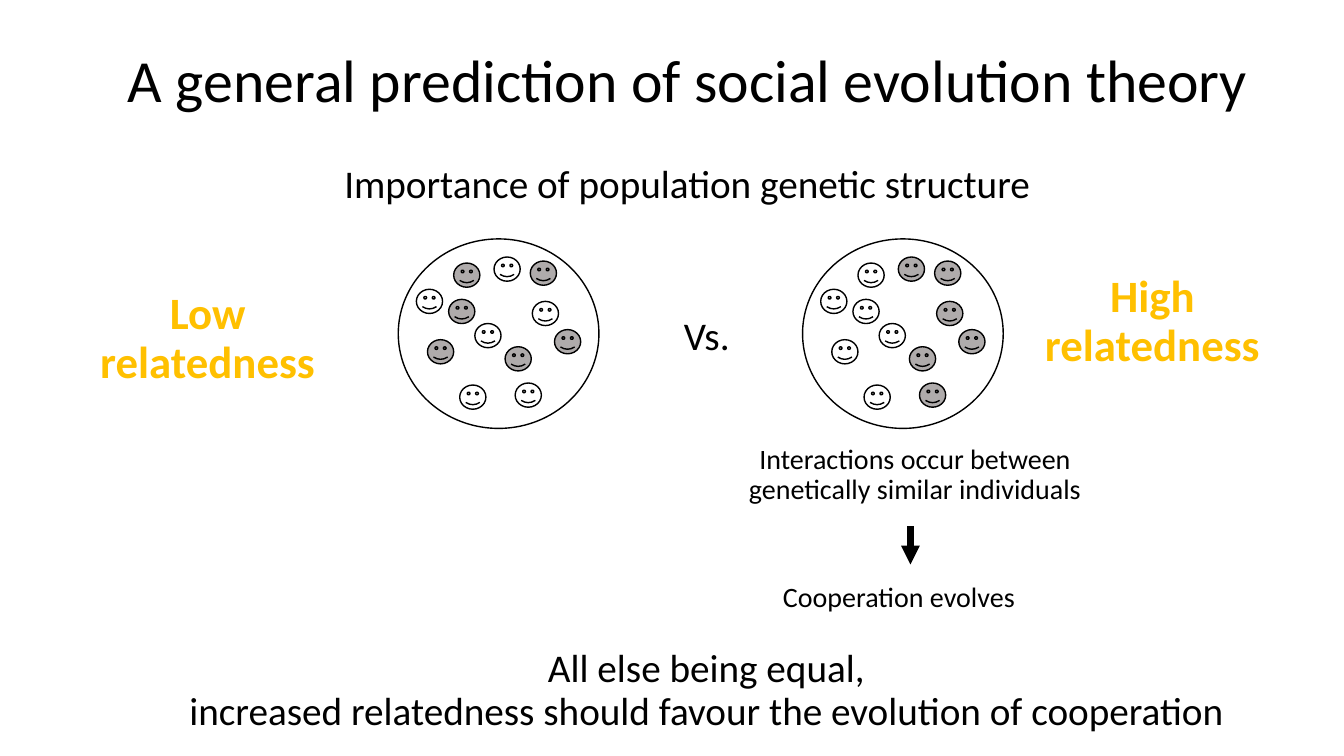
from lxml import etree
from pptx import Presentation
from pptx.dml.color import RGBColor
from pptx.enum.shapes import MSO_CONNECTOR, MSO_SHAPE as Shape
from pptx.enum.text import MSO_ANCHOR, MSO_AUTO_SIZE, PP_ALIGN
from pptx.oxml.ns import qn
from pptx.util import Inches, Pt

COLOURS = {"ink": "000000", "label": "FFC000", "related": "AFABAB", "plain": "FFFFFF"}
TEXT_HEIGHT = 1.09
DISH_TOP, DISH_WIDTH, DISH_HEIGHT = 2.37, 1.99, 1.88
FACE_WIDTH, FACE_HEIGHT = 0.26, 0.24
FACE_OFFSETS = [
    (0.76, 0.84), (0.55, 0.24), (0.18, 0.5), (0.29, 1.0), (1.06, 1.07), (0.5, 0.6),
    (1.31, 0.22), (1.55, 0.9), (1.16, 1.43), (0.95, 0.18), (1.33, 0.62), (0.61, 1.45),
]
SHADED_LOW = {1, 3, 4, 5, 6, 7}
SHADED_HIGH = {4, 6, 7, 8, 9, 10}


def colour(name):
    return RGBColor.from_string(COLOURS[name])


def write(frame, text, size=28, ink="ink", bold=False):
    frame.word_wrap = True
    frame.auto_size = MSO_AUTO_SIZE.NONE
    frame.vertical_anchor = MSO_ANCHOR.TOP
    frame.text = text
    for paragraph in frame.paragraphs:
        paragraph.alignment = PP_ALIGN.CENTER
        paragraph.line_spacing = 0.9
        paragraph.space_before = Pt(0)
        font = paragraph.font
        font.name, font.size, font.bold = "Calibri", Pt(size), bold
        font.color.rgb = colour(ink)


def add_text(slide, text, left, top, width, **style):
    box = slide.shapes.add_textbox(
        Inches(left), Inches(top), Inches(width), Inches(TEXT_HEIGHT))
    write(box.text_frame, text, **style)


def add_heading(slide, left, top, width):
    title = slide.shapes.title
    title.left, title.top = Inches(left), Inches(top)
    title.width, title.height = Inches(width), Inches(TEXT_HEIGHT)
    write(title.text_frame, "A general prediction of social evolution theory", size=42.7)
    add_text(slide, "Importance of population genetic structure",
             left + 0.65, top + 1.13, width - 1.32)


def add_outlined(group, kind, left, top, width, height, fill=None):
    outlined = group.shapes.add_shape(
        kind, Inches(left), Inches(top), Inches(width), Inches(height))
    outlined.shadow.inherit = False
    outlined.line.color.rgb = colour("ink")
    outlined.line.width = Pt(1)
    if fill:
        outlined.fill.solid()
        outlined.fill.fore_color.rgb = colour(fill)
    else:
        outlined.fill.background()


def add_population(slide, left, top, shaded):
    population = slide.shapes.add_group_shape()
    add_outlined(population, Shape.OVAL, left, top, DISH_WIDTH, DISH_HEIGHT)
    for index, (dx, dy) in enumerate(FACE_OFFSETS):
        add_outlined(population, Shape.SMILEY_FACE, left + dx, top + dy,
                     FACE_WIDTH, FACE_HEIGHT,
                     fill="related" if index in shaded else "plain")


def add_comparison(slide, left, top):
    add_population(slide, left + 3.07, top, SHADED_LOW)
    add_population(slide, left + 7.08, top, SHADED_HIGH)
    add_text(slide, "Low relatedness", left, top + 0.47, 2.36,
             size=32, ink="label", bold=True)
    add_text(slide, "Vs.", left + 5.51, top + 0.72, 1.24)
    add_text(slide, "High relatedness", left + 9.37, top + 0.3, 2.36,
             size=32, ink="label", bold=True)


def add_consequence(slide, left, top, width):
    add_text(slide, "Interactions occur between genetically similar individuals",
             left + 0.16, top, width, size=20)
    arrow_x = Inches(left + 1.87)
    arrow = slide.shapes.add_connector(
        MSO_CONNECTOR.STRAIGHT, arrow_x, Inches(top + 0.85), arrow_x, Inches(top + 1.23))
    arrow.line.color.rgb = colour("ink")
    arrow.line.width = Pt(4.5)
    etree.SubElement(arrow.line._get_or_add_ln(), qn("a:tailEnd"), type="triangle")
    etree.SubElement(arrow._element.spPr, qn("a:effectLst"))
    add_text(slide, "Cooperation evolves", left, top + 1.37, width, size=20)


def add_conclusion(slide, left, top, width):
    add_text(slide, "All else being equal,\n"
             "increased relatedness should favour the evolution of cooperation",
             left, top, width)


def main():
    deck = Presentation()
    deck.slide_width, deck.slide_height = Inches(13.33), Inches(7.5)
    slide = deck.slides.add_slide(deck.slide_layouts[5])
    add_heading(slide, 0.95, 0.45, 11.75)
    add_comparison(slide, 0.88, DISH_TOP)
    add_consequence(slide, 7.16, 4.37, 3.51)
    add_conclusion(slide, 1.43, 6.39, 11.15)
    deck.save("out.pptx")


if __name__ == "__main__":
    main()
